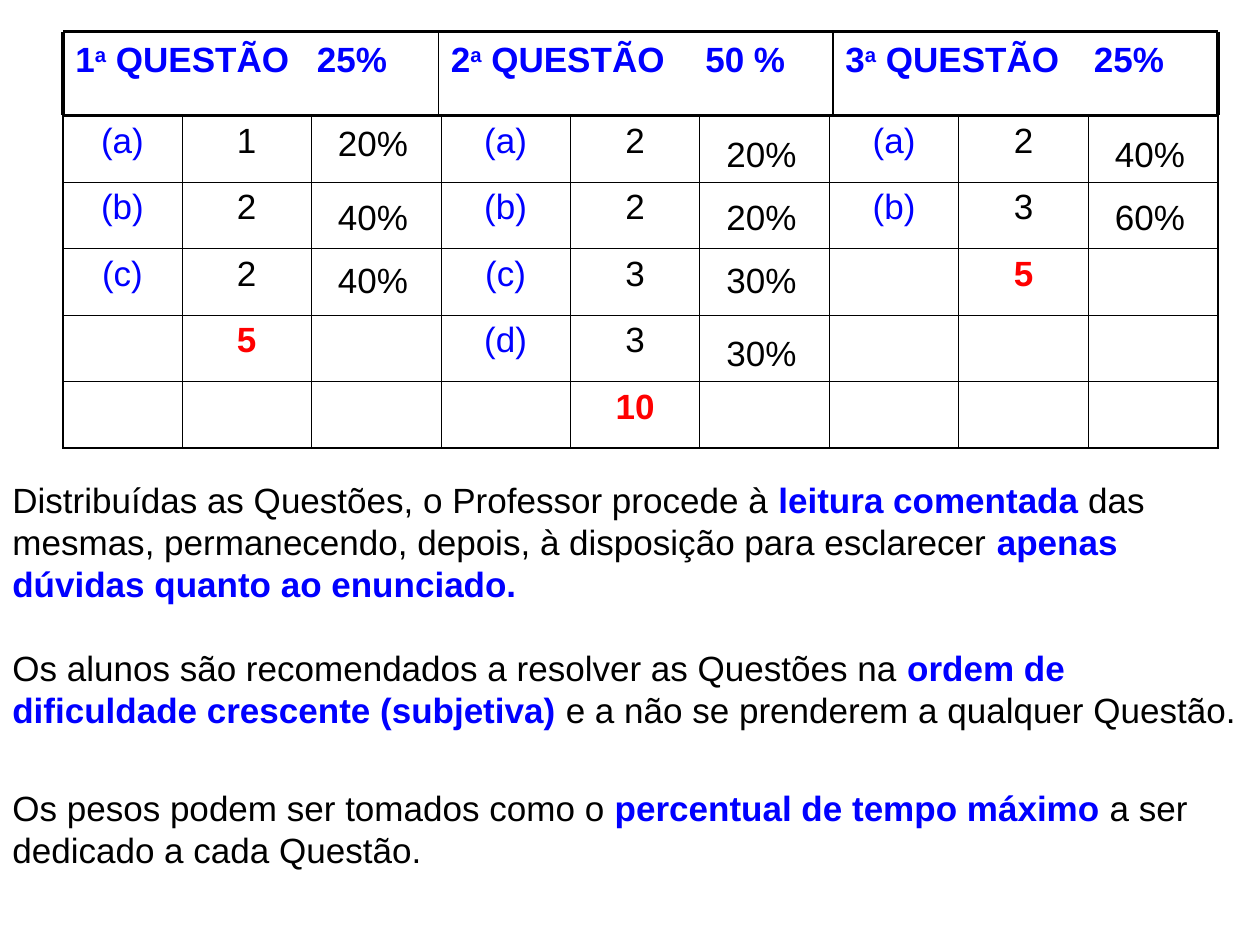
from lxml import etree
from pptx import Presentation
from pptx.dml.color import RGBColor
from pptx.enum.shapes import MSO_CONNECTOR
from pptx.enum.text import MSO_AUTO_SIZE, PP_ALIGN
from pptx.oxml.ns import qn
from pptx.util import Pt

STRAIGHT = MSO_CONNECTOR.STRAIGHT
GROW = MSO_AUTO_SIZE.SHAPE_TO_FIT_TEXT
CENTER = PP_ALIGN.CENTER

COLORS = {"text": "000000", "accent": "0000FF", "total": "FF0000"}
FONT = "Arial"
SIZE = 20
THIN, EDGE = 0.45, 1.08
FIRST_COLUMN, COLUMN = 68, 74

GRID = [
    ["(a)", "1", "", "(a)", "2", "", "(a)", "2", ""],
    ["(b)", "2", "", "(b)", "2", "", "(b)", "3", ""],
    ["(c)", "2", "", "(c)", "3", "", "", "5", ""],
    ["", "5", "", "(d)", "3", "", "", "", ""],
    ["", "", "", "", "10", "", "", "", ""],
]
TOTALS = {"5", "10"}

QUESTIONS = [
    ("1", 36, 250.5, "25%", 174, 72),
    ("2", 250.5, 476, "50 %", 396, 66),
    ("3", 476, 696, "25%", 618, 60),
]

SHARES = [
    (186, [(66, 66, "20%"), (108, 60, "40%"), (144, 60, "40%")]),
    (408, [(72, 60, "20%"), (108, 66, "20%"), (144, 66, "30%"), (186, 66, "30%")]),
    (630, [(72, 66, "40%"), (108, 60, "60%")]),
]

STATEMENTS = [
    (270, 79, [
        ("Distribuídas as Questões, o Professor procede à ", False),
        ("leitura comentada", True),
        (" das mesmas, permanecendo, depois, à disposição para esclarecer ", False),
        ("apenas dúvidas quanto ao enunciado.", True),
    ]),
    (366, 55, [
        ("Os alunos são recomendados a resolver as Questões na ", False),
        ("ordem de dificuldade crescente (subjetiva)", True),
        (" e a não se prenderem a qualquer Questão.", False),
    ]),
    (446, 55, [
        ("Os pesos podem ser tomados como o ", False),
        ("percentual de tempo máximo", True),
        (" a ser dedicado a cada Questão.", False),
    ]),
]


def style_font(font, color, bold=False):
    font.name = FONT
    font.size = Pt(SIZE)
    font.bold = bold
    font.color.rgb = RGBColor.from_string(COLORS[color])


def add_text_box(page, left, top, width, height, grow=True):
    box = page.shapes.add_textbox(Pt(left), Pt(top), Pt(width), Pt(height))
    box.text_frame.word_wrap = True
    if grow:
        box.text_frame.auto_size = GROW
    return box.text_frame.paragraphs[0]


def add_label(page, left, top, width, label, color="text", bold=False):
    para = add_text_box(page, left, top, width, 32)
    para.text = label
    style_font(para.font, color, bold)


def add_rule(page, start, end, weight):
    rule = page.shapes.add_connector(STRAIGHT, *map(Pt, start + end))
    rule.line.width = Pt(weight)
    rule.line.color.rgb = RGBColor.from_string(COLORS["text"])
    etree.SubElement(rule._element.spPr, qn("a:effectLst"))


def set_borders(cell, weights):
    properties = cell._tc.get_or_add_tcPr()
    for index, (side, weight) in enumerate(weights.items()):
        border = etree.Element(qn(f"a:ln{side}"), w=str(Pt(weight)))
        fill = etree.SubElement(border, qn("a:solidFill"))
        etree.SubElement(fill, qn("a:srgbClr"), val=COLORS["text"])
        properties.insert(index, border)


def cell_color(label):
    if label in TOTALS:
        return "total"
    return "accent" if label.startswith("(") else "text"


def add_score_table(page, left, top, width, height):
    last_row, last_column = len(GRID) - 1, len(GRID[0]) - 1
    table = page.shapes.add_table(
        last_row + 1, last_column + 1, Pt(left), Pt(top), Pt(width), Pt(height)
    ).table
    table.first_row = False
    table.horz_banding = False
    for index, column in enumerate(table.columns):
        column.width = Pt(COLUMN if index else FIRST_COLUMN)
    for r, labels in enumerate(GRID):
        for c, label in enumerate(labels):
            cell = table.cell(r, c)
            cell.fill.background()
            set_borders(cell, {
                "L": EDGE if c == 0 else THIN,
                "R": EDGE if c == last_column else THIN,
                "T": EDGE if r == 0 else THIN,
                "B": EDGE if r == last_row else THIN,
            })
            para = cell.text_frame.paragraphs[0]
            para.text = label
            para.alignment = CENTER
            style_font(para.font, cell_color(label), label in TOTALS)


def add_header(page, left, top, width, height):
    right, bottom = left + width, top + height
    for number, start, end, share, share_left, share_width in QUESTIONS:
        para = add_text_box(page, start, top, end - start, height, grow=False)
        style_font(para.font, "accent", True)
        for piece in (number, "a", " QUESTÃO"):
            span = para.add_run()
            span.text = piece
            if piece == "a":
                span.font._element.set("baseline", "30000")
        add_label(page, share_left, top, share_width, share, "accent", True)
    for y in (top, bottom):
        add_rule(page, (left, y), (right, y), 2.25)
    for x in (left, right):
        add_rule(page, (x, top), (x, bottom), 2.25)
    for question in QUESTIONS[1:]:
        add_rule(page, (question[1], top), (question[1], bottom), 1)


def add_shares(page):
    for left, shares in SHARES:
        for top, width, label in shares:
            add_label(page, left, top, width, label)


def add_statements(page, left, width):
    for top, height, pieces in STATEMENTS:
        para = add_text_box(page, left, top, width, height)
        for piece, strong in pieces:
            span = para.add_run()
            span.text = piece
            style_font(span.font, "accent" if strong else "text", strong)


def main():
    deck = Presentation()
    deck.slide_width, deck.slide_height = Pt(720), Pt(540)
    page = deck.slides.add_slide(deck.slide_layouts[6])
    add_score_table(page, 36, 66, 660, 190)
    add_header(page, 36, 18, 660, 48)
    add_statements(page, 0, 720)
    add_shares(page)
    deck.save("out.pptx")


if __name__ == "__main__":
    main()
